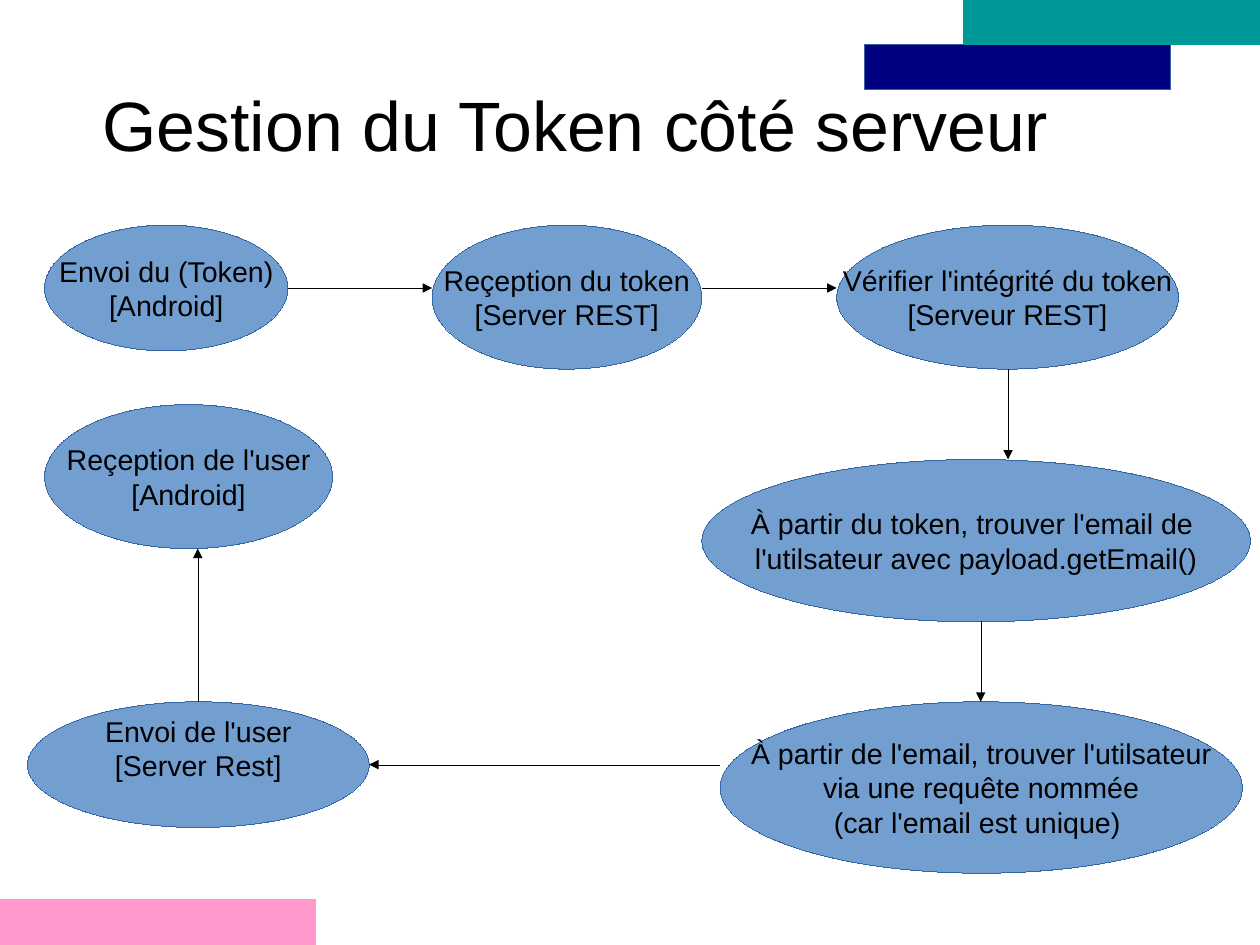
from dataclasses import dataclass

from lxml import etree
from pptx import Presentation
from pptx.dml.color import RGBColor
from pptx.enum.shapes import MSO_CONNECTOR, MSO_SHAPE
from pptx.enum.text import MSO_ANCHOR, PP_ALIGN
from pptx.oxml.ns import qn
from pptx.util import Inches, Pt

ELLIPSE, RECTANGLE = MSO_SHAPE.OVAL, MSO_SHAPE.RECTANGLE
STRAIGHT = MSO_CONNECTOR.STRAIGHT
MIDDLE, CENTER = MSO_ANCHOR.MIDDLE, PP_ALIGN.CENTER

BLACK, STEP_FILL, OUTLINE = "000000", "729FCF", "3465A4"
NAVY, TEAL, PINK = "000080", "009999", "FF99CC"
LINE_HEIGHT = 0.29
CM_PER_INCH = 2.54
PAGE_WIDTH, PAGE_HEIGHT = 28 / CM_PER_INCH, 21 / CM_PER_INCH


@dataclass
class Box:
    left: float
    top: float
    width: float
    height: float

    def lengths(self):
        return [Inches(v) for v in (self.left, self.top, self.width, self.height)]


@dataclass
class Step:
    box: Box
    lines: list[str]
    bottom_inset: float = 0.05


@dataclass
class Arrow:
    x1: float
    y1: float
    x2: float
    y2: float


@dataclass
class Band:
    box: Box
    fill: str
    outline: str


STEPS = [
    Step(Box(0.39, 1.97, 2.13, 1.1), ["Envoi du (Token)", "[Android]"]),
    Step(Box(3.78, 1.97, 2.36, 1.26), ["Reçeption du token", "[Server REST]"]),
    Step(Box(7.32, 1.97, 2.99, 1.26), ["Vérifier l'intégrité du token", "[Serveur REST]"]),
    Step(Box(6.14, 4.02, 4.8, 1.42),
         ["À partir du token, trouver l'email de ", "l'utilsateur avec payload.getEmail()"]),
    Step(Box(6.3, 6.14, 4.57, 1.5),
         ["À partir de l'email, trouver l'utilsateur", " via une requête nommée ",
          "(car l'email est unique) "]),
    Step(Box(0.24, 6.14, 2.99, 1.1), ["Envoi de l'user", "[Server Rest]"],
         bottom_inset=0.05 + LINE_HEIGHT),
    Step(Box(0.39, 3.54, 2.52, 1.26), ["Reçeption de l'user", "[Android]"]),
]
ARROWS = [
    Arrow(2.52, 2.52, 3.78, 2.52),
    Arrow(6.14, 2.52, 7.32, 2.52),
    Arrow(8.82, 3.23, 8.82, 4.02),
    Arrow(8.58, 5.43, 8.58, 6.14),
    Arrow(6.3, 6.69, 3.23, 6.69),
    Arrow(1.73, 6.14, 1.73, 4.8),
]
BANDS = [
    Band(Box(7.56, 0.39, 2.68, 0.39), NAVY, OUTLINE),
    Band(Box(8.43, 0, 2.6, 0.39), TEAL, TEAL),
    Band(Box(0, 7.87, 2.76, 0.39), PINK, PINK),
]


def rgb(value: str) -> RGBColor:
    return RGBColor.from_string(value)


def set_hairline(line, color: str):
    """Write the zero width explicitly, so the theme's width does not apply."""
    line.color.rgb = rgb(color)
    properties = line._get_or_add_ln()
    properties.set("w", "0")
    return properties


def write_lines(frame, lines: list[str], size: int, frame_format: dict) -> None:
    for name, value in frame_format.items():
        setattr(frame, name, value)
    font_format = {"name": "Arial", "size": Pt(size)}
    for index, line in enumerate(lines):
        paragraph = frame.paragraphs[0] if index == 0 else frame.add_paragraph()
        paragraph.alignment = CENTER
        run = paragraph.add_run()
        run.text = line
        for name, value in font_format.items():
            setattr(run.font, name, value)
        run.font.color.rgb = rgb(BLACK)


def draw_shape(slide, kind, box: Box, fill: str, outline: str):
    shape = slide.shapes.add_shape(kind, *box.lengths())
    shape.shadow.inherit = False
    shape.fill.solid()
    shape.fill.fore_color.rgb = rgb(fill)
    set_hairline(shape.line, outline)
    return shape


def draw_title(slide, text: str) -> None:
    title = slide.shapes.add_textbox(*Box(0.08, 0.39, 9.92, 1.38).lengths())
    write_lines(title.text_frame, [text], 44, {
        "word_wrap": True, "vertical_anchor": MIDDLE,
        "margin_left": 0, "margin_right": 0, "margin_top": 0, "margin_bottom": 0,
    })


def draw_step(slide, step: Step) -> None:
    ellipse = draw_shape(slide, ELLIPSE, step.box, STEP_FILL, OUTLINE)
    write_lines(ellipse.text_frame, step.lines, 18, {
        "word_wrap": False, "vertical_anchor": MIDDLE,
        "margin_left": Inches(0.1), "margin_right": Inches(0.1),
        "margin_top": Inches(0.05), "margin_bottom": Inches(step.bottom_inset),
    })


def draw_arrow(slide, arrow: Arrow) -> None:
    ends = [Inches(v) for v in (arrow.x1, arrow.y1, arrow.x2, arrow.y2)]
    connector = slide.shapes.add_connector(STRAIGHT, *ends)
    properties = set_hairline(connector.line, BLACK)
    etree.SubElement(properties, qn("a:tailEnd"), type="triangle")
    etree.SubElement(connector._element.spPr, qn("a:effectLst"))


def main() -> None:
    deck = Presentation()
    deck.slide_width, deck.slide_height = Inches(PAGE_WIDTH), Inches(PAGE_HEIGHT)
    slide = deck.slides.add_slide(deck.slide_layouts[6])
    draw_title(slide, "Gestion du Token côté serveur")
    for step in STEPS:
        draw_step(slide, step)
    for arrow in ARROWS:
        draw_arrow(slide, arrow)
    for band in BANDS:
        draw_shape(slide, RECTANGLE, band.box, band.fill, band.outline)
    deck.save("out.pptx")


if __name__ == "__main__":
    main()
